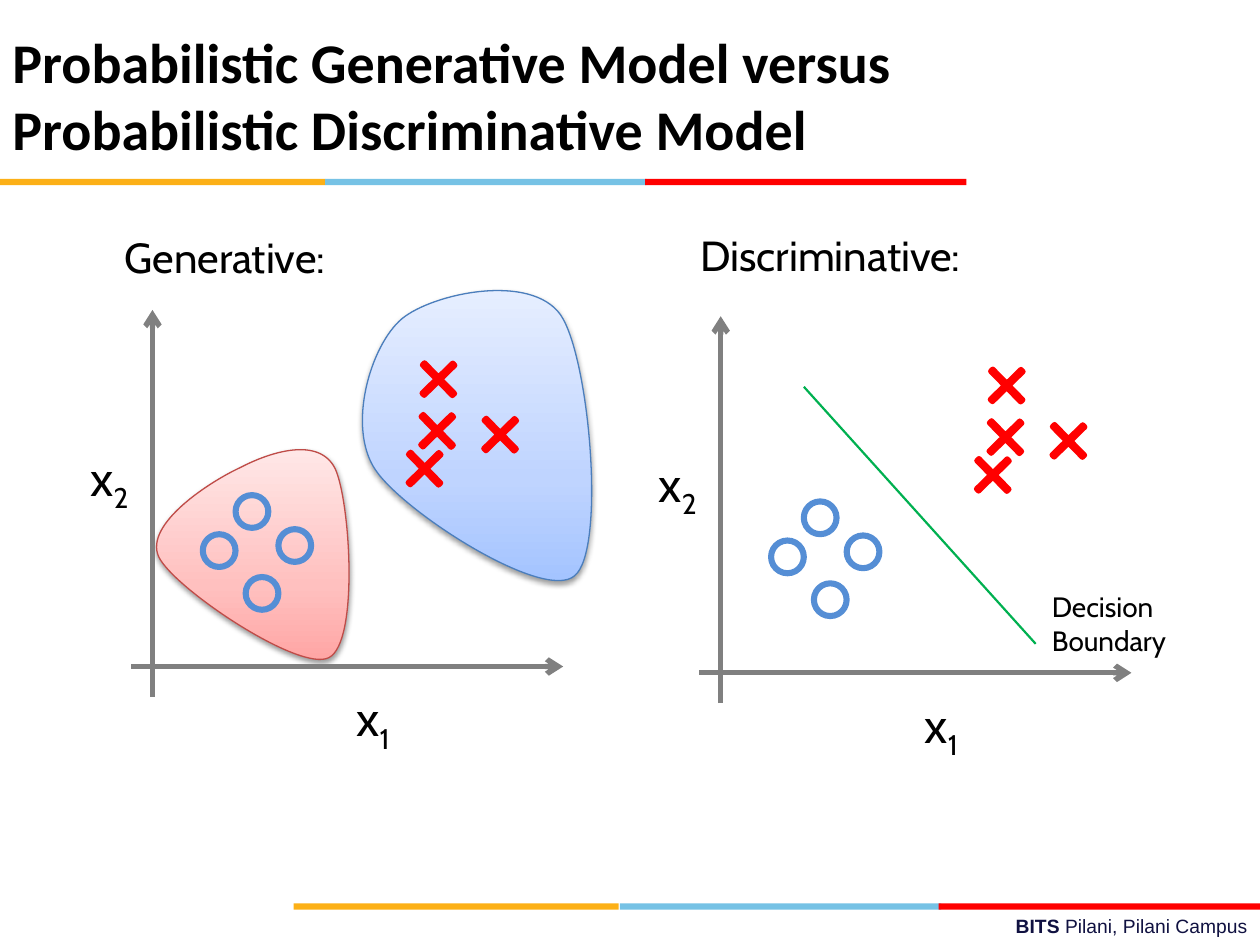
from copy import deepcopy
from dataclasses import dataclass

from lxml.etree import SubElement
from pptx import Presentation
from pptx.dml.color import RGBColor as Rgb
from pptx.enum.shapes import MSO_CONNECTOR as Wire, MSO_SHAPE as Kind
from pptx.enum.text import PP_ALIGN as Align
from pptx.oxml.ns import qn
from pptx.util import Inches, Pt


@dataclass(frozen=True)
class Theme:
    ink: str = "000000"
    navy: str = "101141"
    bars: tuple = ("FCB017", "76C2E5", "FF0000")
    ring: str = "558ED5"
    cross: str = "FF0000"
    axis: str = "808080"
    bound: str = "00B050"
    blue: tuple = ("A4C4FF", "BFD4FF", "E6EEFF")
    blue_edge: str = "4B7EBC"
    red: tuple = ("FFA6A5", "FFC0BF", "FFE7E7")
    red_edge: str = "BF4C48"
    head: str = "Calibri"
    body: str = "Cabin"
    foot: str = "Arial"
    title: int = 32
    label: int = 28
    sub: int = 24
    note: int = 16
    small: int = 11


T = Theme()
RINGS = [(1.61, 4.24), (2.21, 4.2), (1.95, 4.58), (1.87, 3.93)]
CROSSES = [(3.2, 3.55), (3.31, 2.84), (3.8, 3.28), (3.3, 3.25)]
LABELS = [("1", 2.73, 5.41), ("2", 0.62, 3.5)]
AXES = [((1.21, 5.53), (1.21, 2.46)), ((1.04, 5.29), (4.47, 5.29))]

# Each outline is a start point followed by triples of Bezier points.
BLUE_BOX = (2.88, 2.3, 1.82, 2.31)
BLUE_PTS = [(3.19, 2.53),
            (2.94, 2.74), (2.75, 3.39), (2.98, 3.73),
            (3.21, 4.07), (4.32, 4.78), (4.56, 4.57),
            (4.81, 4.37), (4.68, 2.84), (4.45, 2.5),
            (4.21, 2.16), (3.43, 2.33), (3.19, 2.53)]
RED_BOX = (1.24, 3.57, 1.52, 1.66)
RED_PTS = [(1.91, 3.71),
           (1.67, 3.82), (1.14, 4.16), (1.26, 4.42),
           (1.38, 4.67), (2.38, 5.34), (2.61, 5.22),
           (2.85, 5.1), (2.78, 3.98), (2.66, 3.72),
           (2.53, 3.46), (2.14, 3.59), (1.91, 3.71)]


def emu(nums):
    return [Inches(n) for n in nums]


def add_text(slide, box, runs, size, font, color=T.ink, align=Align.LEFT, wrap=True):
    """Runs are (text, bold, baseline) with the baseline in percent."""
    frame = slide.shapes.add_textbox(*emu(box)).text_frame
    frame.word_wrap = wrap
    para = frame.paragraphs[0]
    para.alignment = align
    for text, bold, base in runs:
        run = para.add_run()
        run.text = text
        run.font.name, run.font.size, run.font.bold = font, Pt(size), bold
        run.font.color.rgb = Rgb.from_string(color)
        if base:
            run._r.get_or_add_rPr().set("baseline", str(base * 1000))


def add_shape(slide, kind, box, fill=None, line=None, width=0):
    shape = slide.shapes.add_shape(kind, *emu(box))
    shape.shadow.inherit = False
    if fill:
        shape.fill.solid()
        shape.fill.fore_color.rgb = Rgb.from_string(fill)
    else:
        shape.fill.background()
    if line:
        shape.line.color.rgb = Rgb.from_string(line)
        shape.line.width = Pt(width)
    else:
        shape.line.fill.background()
    return shape


def add_line(slide, start, end, color, width, arrow=False):
    line = slide.shapes.add_connector(Wire.STRAIGHT, *emu(start + end))
    line.line.color.rgb = Rgb.from_string(color)
    line.line.width = Pt(width)
    if arrow:
        SubElement(line.line._get_or_add_ln(), qn("a:tailEnd"), type="arrow")
    SubElement(line._element.spPr, qn("a:effectLst"))


def bend(shape, box):
    """Turn straight segments into Bezier curves and fit the frame to the box."""
    left, top, wide, high = emu(box)
    path = shape._element.spPr.find(".//" + qn("a:path"))
    for pt in path.iter(qn("a:pt")):
        pt.set("x", str(int(pt.get("x")) + shape.left - left))
        pt.set("y", str(int(pt.get("y")) + shape.top - top))
    path.set("w", str(wide))
    path.set("h", str(high))
    shape.left, shape.top, shape.width, shape.height = left, top, wide, high
    steps = path.findall(qn("a:lnTo"))
    close = path.find(qn("a:close"))
    path.remove(close)
    for i in range(0, len(steps), 3):
        curve = SubElement(path, qn("a:cubicBezTo"))
        for step in steps[i:i + 3]:
            curve.append(step[0])
            path.remove(step)
    path.append(close)


def add_blob(slide, box, points, shades, edge):
    first, *rest = [emu(p) for p in points]
    pen = slide.shapes.build_freeform(*first, scale=1.0)
    pen.add_line_segments(rest, close=True)
    blob = pen.convert_to_shape()
    bend(blob, box)
    blob.fill.gradient()
    blob.fill.gradient_angle = 90
    stops = blob._element.spPr.find(".//" + qn("a:gsLst"))
    stops.insert(1, deepcopy(stops[0]))
    for stop, spot, shade in zip(blob.fill.gradient_stops, (0, 0.35, 1), shades):
        stop.position = spot
        stop.color.rgb = Rgb.from_string(shade)
    blob.line.color.rgb = Rgb.from_string(edge)
    blob.line.width = Pt(0.75)
    blob.shadow.inherit = False
    glow = SubElement(blob._element.spPr.find(qn("a:effectLst")), qn("a:outerShdw"),
                      blurRad=str(Pt(3.1)), dist=str(Pt(1.6)), dir="5400000",
                      rotWithShape="0")
    tint = SubElement(glow, qn("a:srgbClr"), val="000000")
    SubElement(tint, qn("a:alpha"), val="38000")


def add_bars(slide, lefts, top):
    for left, wide, color in zip(lefts, (2.58, 2.55, 2.55), T.bars):
        add_shape(slide, Kind.RECTANGLE, (left, top, wide, 0.05), color)


def add_plot(slide, dx=0, dy=0):
    """Draw both classes and the axes, moved by dx and dy."""
    for x, y in RINGS:
        add_shape(slide, Kind.OVAL, (x + dx, y + dy, 0.26, 0.26), None, T.ring, 3.5)
    for x, y in CROSSES:
        cross = add_shape(slide, Kind.CROSS, (x + dx, y + dy, 0.34, 0.34),
                          T.ink, T.cross, 3)
        cross.rotation = 45.6
        cross.adjustments[0] = 0.466
    for num, x, y in LABELS:
        add_text(slide, (x + dx, y + dy, 0.54, 0.57),
                 [("x", False, 0), (num, False, -25)], T.label, T.body, wrap=False)
    for (x1, y1), (x2, y2) in AXES:
        add_line(slide, (x1 + dx, y1 + dy), (x2 + dx, y2 + dy), T.axis, 3, True)


def main():
    deck = Presentation()
    deck.slide_width, deck.slide_height = Inches(10), Inches(7.5)
    slide = deck.slides.add_slide(deck.slide_layouts[6])

    add_text(slide, (3.58, 7.21, 6.42, 0.29),
             [("BITS ", True, 0), ("Pilani, Pilani Campus", False, 0)],
             T.small, T.foot, T.navy, Align.RIGHT)
    add_bars(slide, (2.33, 4.92, 7.45), 7.17)
    add_bars(slide, (0, 2.58, 5.12), 1.42)

    add_blob(slide, BLUE_BOX, BLUE_PTS, T.blue, T.blue_edge)
    add_blob(slide, RED_BOX, RED_PTS, T.red, T.red_edge)
    add_plot(slide)
    add_text(slide, (0.89, 1.79, 3.56, 0.5), [("Generative:", False, 0)], T.sub, T.body)

    add_plot(slide, 4.51, 0.05)
    add_text(slide, (5.46, 1.77, 3.56, 0.5), [("Discriminative:", False, 0)],
             T.sub, T.body)
    add_line(slide, (6.38, 3.07), (8.22, 5.11), T.bound, 1.25)
    add_text(slide, (8.25, 4.63, 1.58, 0.64), [("Decision Boundary", False, 0)],
             T.note, T.body)

    title = "Probabilistic Generative Model versus Probabilistic Discriminative Model"
    add_text(slide, (0, 0.17, 9.17, 0.93), [(title, True, 0)], T.title, T.head)
    deck.save("out.pptx")


if __name__ == "__main__":
    main()
